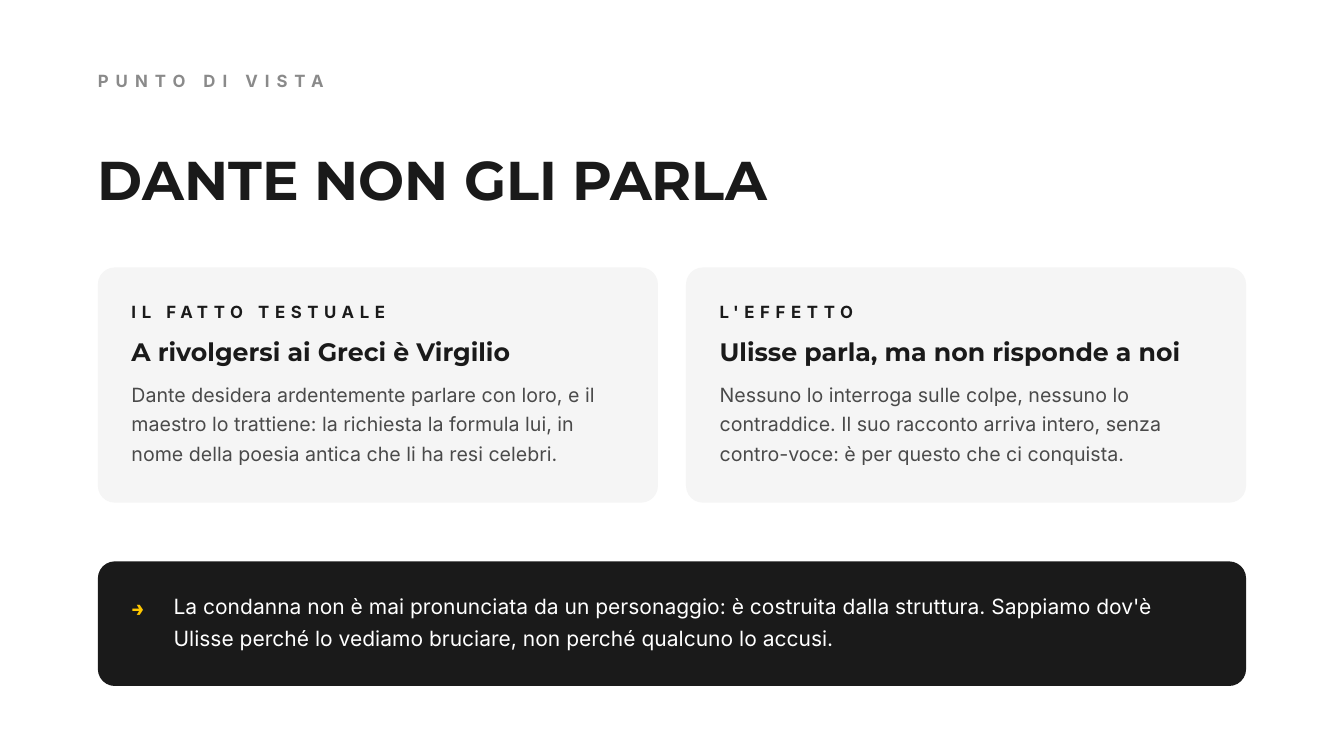
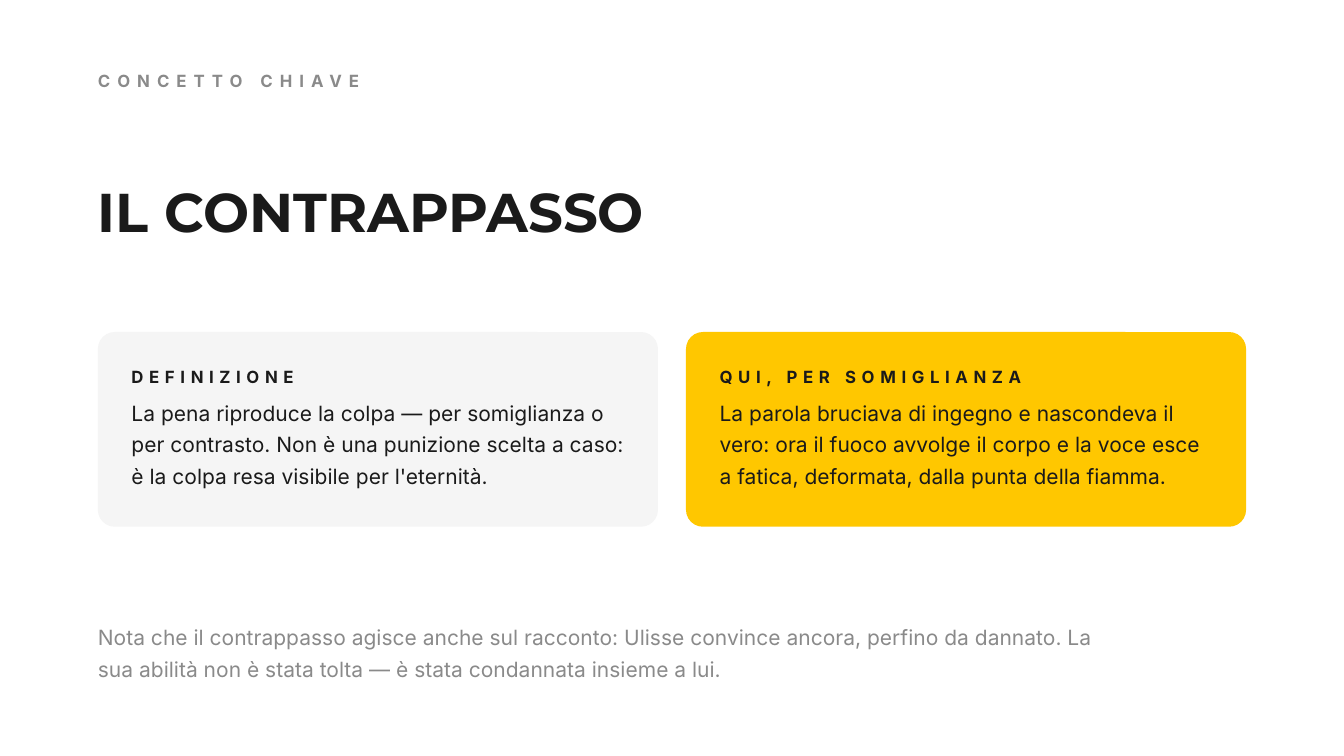
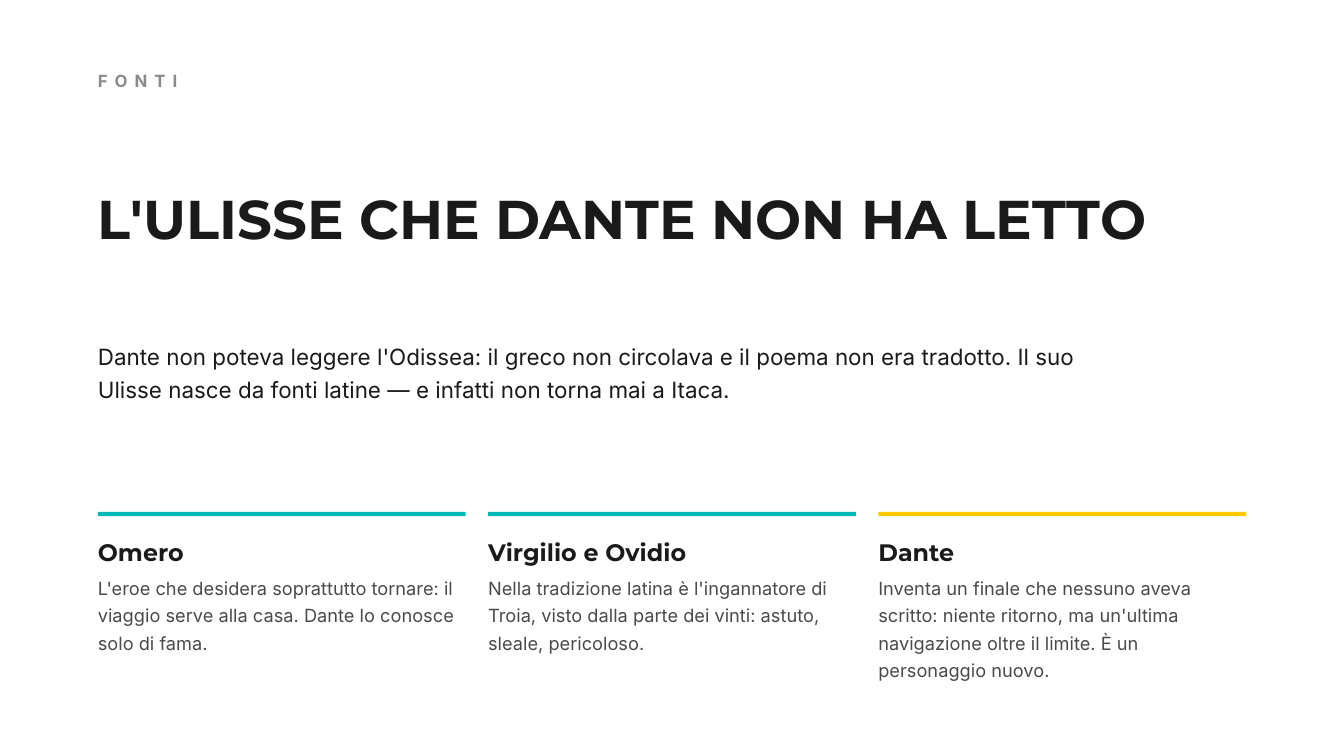
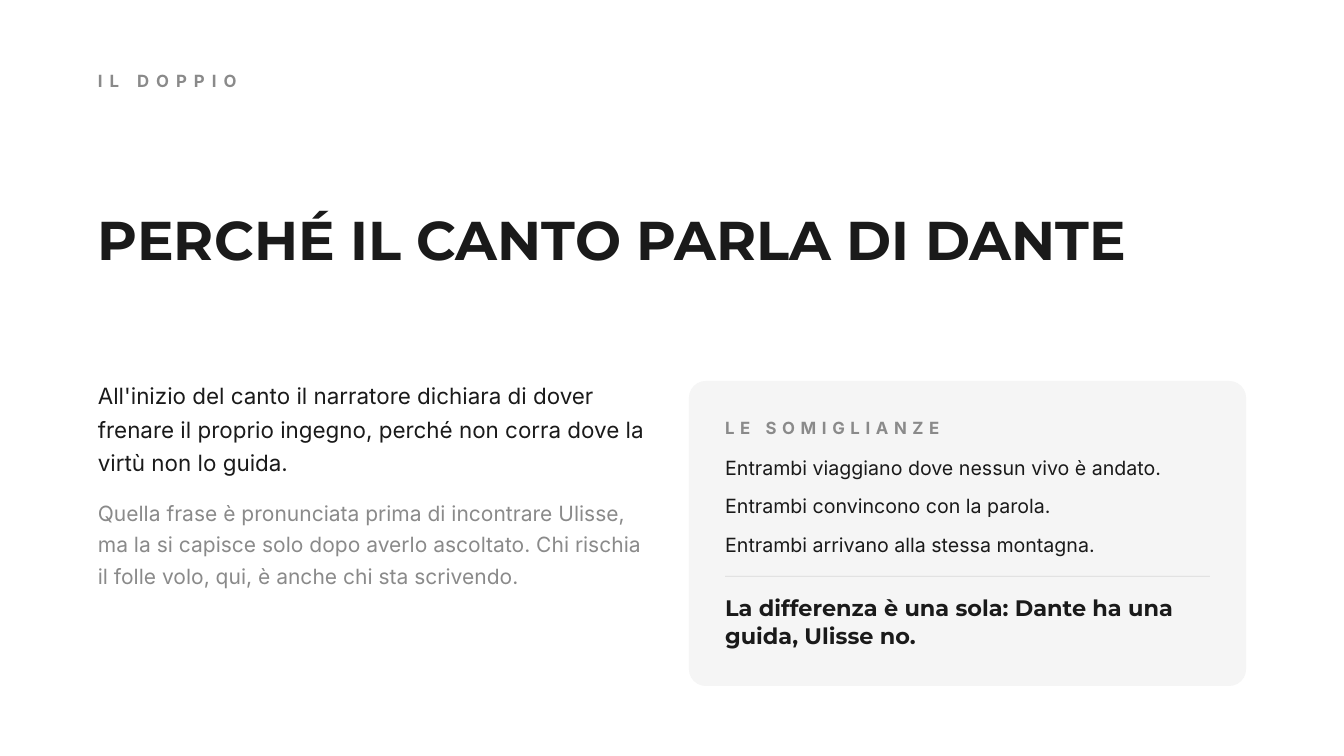
"""Build four slides on Dante's Ulysses: point of view, contrappasso, sources and double."""
from dataclasses import dataclass

from pptx import Presentation
from pptx.dml.color import RGBColor
from pptx.enum.shapes import MSO_SHAPE
from pptx.enum.text import MSO_AUTO_SIZE
from pptx.util import Cm, Pt

RECT = MSO_SHAPE.RECTANGLE
ROUNDED = MSO_SHAPE.ROUNDED_RECTANGLE
GROW = MSO_AUTO_SIZE.SHAPE_TO_FIT_TEXT


@dataclass(frozen=True)
class Style:
    font: str
    size: float
    leading: float
    bold: bool = False
    tracking: float = 0


class Theme:
    ink, text, muted = "1A1A1A", "4A4A4A", "8A8A8A"
    white, panel, divider = "FFFFFF", "F5F5F5", "D9D9D9"
    yellow, teal = "FFC700", "00B8B5"
    eyebrow = Style("Inter", 18, 25.2, True, 7.5)
    label = Style("Inter", 18, 25.2, True, 6)
    title = Style("Montserrat", 58.5, 58.5, True)
    card_heading = Style("Montserrat", 27, 33.75, True)
    source_heading = Style("Montserrat", 25.5, 35.7, True)
    closing = Style("Montserrat", 24, 30, True)
    arrow = Style("Montserrat", 24, 33.6, True)
    lead = Style("Inter", 24, 36)
    body = Style("Inter", 22.5, 33.75)
    card_body = Style("Inter", 21, 31.5)
    item = Style("Inter", 21, 29.4)
    source_body = Style("Inter", 19.5, 29.25)


PAGE_WIDTH = 50.8
MARGIN = 3.7
CONTENT = PAGE_WIDTH - 2 * MARGIN
READING = 38.1
RADIUS = 0.64
PAD = 1.27
CARD_GAP = 1.06
CARD_WIDTH = (CONTENT - CARD_GAP) / 2
CARD_LEFTS = [MARGIN + i * (CARD_WIDTH + CARD_GAP) for i in range(2)]


def write(slide, text, style, color, left, top, width, height):
    box = slide.shapes.add_textbox(Cm(left), Cm(top), Cm(width), Cm(height))
    frame = box.text_frame
    frame.margin_left = frame.margin_right = frame.margin_top = frame.margin_bottom = 0
    frame.word_wrap = True
    frame.auto_size = GROW
    paragraph = frame.paragraphs[0]
    paragraph.text = text
    paragraph.line_spacing = Pt(style.leading)
    paragraph.font.name = style.font
    paragraph.font.size = Pt(style.size)
    paragraph.font.bold = style.bold
    paragraph.font.color.rgb = RGBColor.from_string(color)
    if style.tracking:
        paragraph.runs[0]._r.get_or_add_rPr().set("spc", str(int(style.tracking * 100)))


def fill_area(slide, kind, color, left, top, width, height):
    area = slide.shapes.add_shape(kind, Cm(left), Cm(top), Cm(width), Cm(height))
    area.shadow.inherit = False
    area.fill.solid()
    area.fill.fore_color.rgb = RGBColor.from_string(color)
    area.line.fill.background()
    if kind == ROUNDED:
        area.adjustments[0] = RADIUS / min(width, height)


deck = Presentation()
deck.slide_width = Cm(PAGE_WIDTH)
deck.slide_height = Cm(PAGE_WIDTH * 9 / 16)

openings = [
    ("PUNTO DI VISTA", "DANTE NON GLI PARLA", 5.92),
    ("CONCETTO CHIAVE", "IL CONTRAPPASSO", 7.14),
    ("FONTI", "L'ULISSE CHE DANTE NON HA LETTO", 7.42),
    ("IL DOPPIO", "PERCHÉ IL CANTO PARLA DI DANTE", 8.18),
]
slides = []
for eyebrow, title, title_top in openings:
    slide = deck.slides.add_slide(deck.slide_layouts[6])
    write(slide, eyebrow, Theme.eyebrow, Theme.muted, MARGIN, 2.54, CONTENT, 0.86)
    write(slide, title, Theme.title, Theme.ink, MARGIN, title_top, CONTENT, 1.78)
    slides.append(slide)
viewpoint, contrappasso, sources, double = slides

viewpoint_cards = [
    ("IL FATTO TESTUALE", "A rivolgersi ai Greci è Virgilio",
     "Dante desidera ardentemente parlare con loro, e il maestro lo trattiene: "
     "la richiesta la formula lui, in nome della poesia antica che li ha resi celebri."),
    ("L'EFFETTO", "Ulisse parla, ma non risponde a noi",
     "Nessuno lo interroga sulle colpe, nessuno lo contraddice. Il suo racconto "
     "arriva intero, senza contro-voce: è per questo che ci conquista."),
]
top = 10.11
inner = CARD_WIDTH - 2 * PAD
for left, (label, heading, body) in zip(CARD_LEFTS, viewpoint_cards):
    fill_area(viewpoint, ROUNDED, Theme.panel, left, top, CARD_WIDTH, 8.89)
    write(viewpoint, label, Theme.label, Theme.ink, left + PAD, top + 1.17, inner, 0.86)
    write(viewpoint, heading, Theme.card_heading, Theme.ink, left + PAD, top + 2.54, inner, 1.22)
    write(viewpoint, body, Theme.card_body, Theme.text, left + PAD, top + 4.14, inner, 3.51)

fill_area(viewpoint, ROUNDED, Theme.ink, MARGIN, 21.22, CONTENT, 4.71)
write(viewpoint, "→", Theme.arrow, Theme.yellow, MARGIN + PAD, 22.28, 0.84, 1.14)
write(viewpoint,
      "La condanna non è mai pronunciata da un personaggio: è costruita dalla struttura. "
      "Sappiamo dov'è Ulisse perché lo vediamo bruciare, non perché qualcuno lo accusi.",
      Theme.body, Theme.white, 6.56, 22.2, 39.27, 2.57)

contrappasso_cards = [
    ("DEFINIZIONE", Theme.panel,
     "La pena riproduce la colpa — per somiglianza o per contrasto. Non è una "
     "punizione scelta a caso: è la colpa resa visibile per l'eternità."),
    ("QUI, PER SOMIGLIANZA", Theme.yellow,
     "La parola bruciava di ingegno e nascondeva il vero: ora il fuoco avvolge il "
     "corpo e la voce esce a fatica, deformata, dalla punta della fiamma."),
]
top = 12.55
for left, (label, color, body) in zip(CARD_LEFTS, contrappasso_cards):
    fill_area(contrappasso, ROUNDED, color, left, top, CARD_WIDTH, 7.36)
    write(contrappasso, label, Theme.label, Theme.ink, left + PAD, top + 1.17, inner, 0.86)
    write(contrappasso, body, Theme.body, Theme.ink, left + PAD, top + 2.34, inner, 3.76)

write(contrappasso,
      "Nota che il contrappasso agisce anche sul racconto: Ulisse convince ancora, perfino da "
      "dannato. La sua abilità non è stata tolta — è stata condannata insieme a lui.",
      Theme.body, Theme.muted, MARGIN, 23.37, READING, 2.57)

write(sources,
      "Dante non poteva leggere l'Odissea: il greco non circolava e il poema non era tradotto. "
      "Il suo Ulisse nasce da fonti latine — e infatti non torna mai a Itaca.",
      Theme.lead, Theme.ink, MARGIN, 12.7, READING, 2.74)

source_columns = [
    ("Omero", Theme.teal, 3.28,
     "L'eroe che desidera soprattutto tornare: il viaggio serve alla casa. "
     "Dante lo conosce solo di fama."),
    ("Virgilio e Ovidio", Theme.teal, 3.28,
     "Nella tradizione latina è l'ingannatore di Troia, visto dalla parte dei vinti: "
     "astuto, sleale, pericoloso."),
    ("Dante", Theme.yellow, 4.32,
     "Inventa un finale che nessuno aveva scritto: niente ritorno, ma un'ultima "
     "navigazione oltre il limite. È un personaggio nuovo."),
]
column_gap = 0.85
column_width = (CONTENT - 2 * column_gap) / 3
for i, (author, color, height, body) in enumerate(source_columns):
    left = MARGIN + i * (column_width + column_gap)
    fill_area(sources, RECT, color, left, 19.35, column_width, 0.16)
    write(sources, author, Theme.source_heading, Theme.ink, left, 20.14, column_width, 1.24)
    write(sources, body, Theme.source_body, Theme.text, left, 21.62, column_width, height)

half = 21.06
write(double,
      "All'inizio del canto il narratore dichiara di dover frenare il proprio ingegno, "
      "perché non corra dove la virtù non lo guida.",
      Theme.lead, Theme.ink, MARGIN, 14.2, half, 4.01)
write(double,
      "Quella frase è pronunciata prima di incontrare Ulisse, ma la si capisce solo dopo "
      "averlo ascoltato. Chi rischia il folle volo, qui, è anche chi sta scrivendo.",
      Theme.body, Theme.muted, MARGIN, 18.67, half, 3.76)

panel_left = PAGE_WIDTH - MARGIN - half
left = panel_left + 1.37
inner = half - 2 * 1.37
fill_area(double, ROUNDED, Theme.panel, panel_left, 14.4, half, 11.53)
write(double, "LE SOMIGLIANZE", Theme.label, Theme.muted, left, 15.67, inner, 0.86)
likenesses = [
    "Entrambi viaggiano dove nessun vivo è andato.",
    "Entrambi convincono con la parola.",
    "Entrambi arrivano alla stessa montagna.",
]
for i, likeness in enumerate(likenesses):
    write(double, likeness, Theme.item, Theme.ink, left, 17.07 + i * 1.46, inner, 1.14)
fill_area(double, RECT, Theme.divider, left, 21.77, inner, 0.03)
write(double, "La differenza è una sola: Dante ha una guida, Ulisse no.",
      Theme.closing, Theme.ink, left, 22.4, inner, 2.13)

deck.save("out.pptx")
